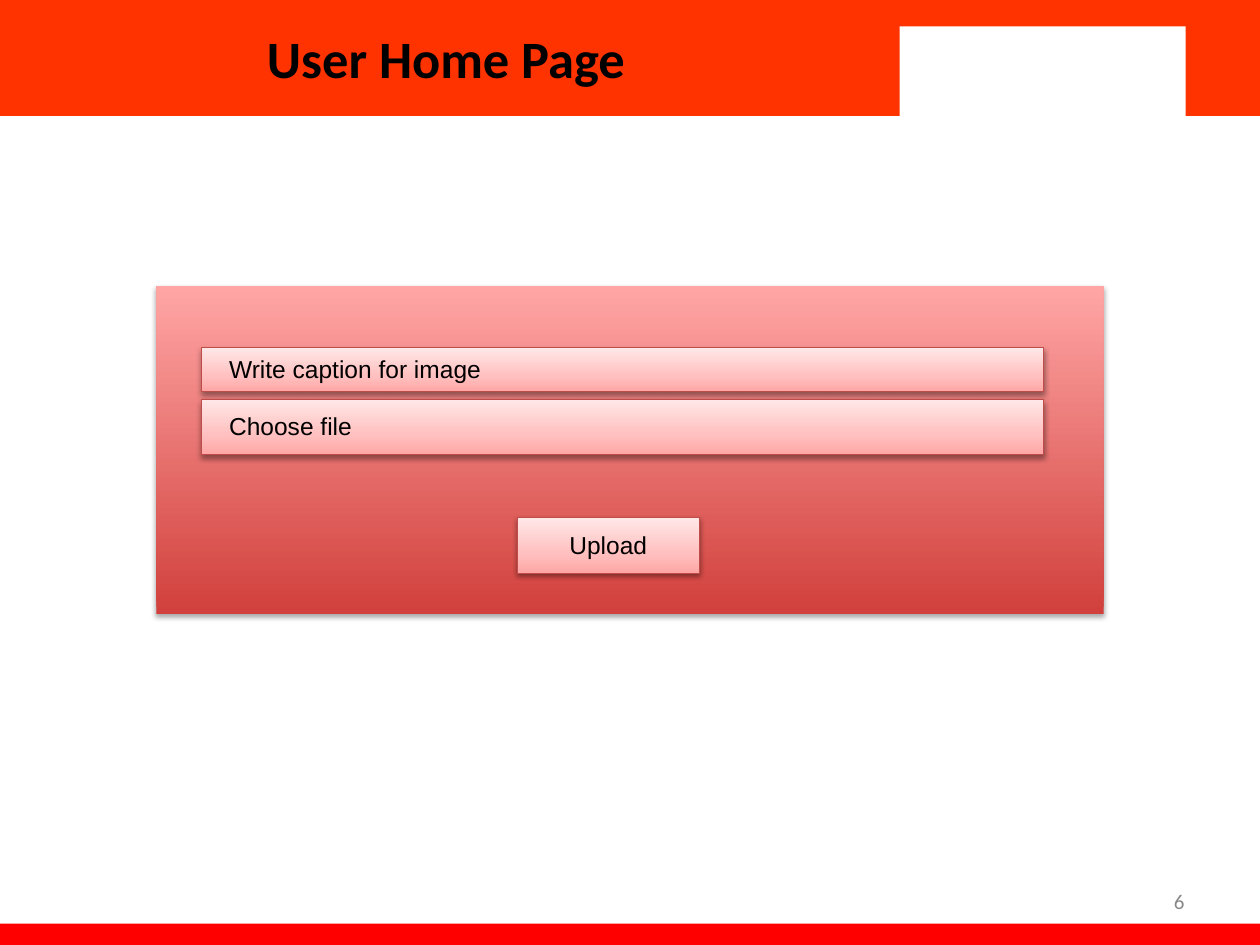
"""Build the User Home Page slide with its image upload form."""
import pptx
import pptx.dml.color
import pptx.enum.dml
import pptx.enum.shapes
import pptx.enum.text
import pptx.oxml
import pptx.oxml.ns
import pptx.util

Inches = pptx.util.Inches
Pt = pptx.util.Pt
RGBColor = pptx.dml.color.RGBColor
ALIGN = pptx.enum.text.PP_ALIGN
ANCHOR = pptx.enum.text.MSO_ANCHOR

ORANGE = RGBColor(0xFF, 0x33, 0x00)
RED = RGBColor(0xFF, 0x00, 0x00)
WHITE = RGBColor(0xFF, 0xFF, 0xFF)
BLACK = RGBColor(0x00, 0x00, 0x00)
GREY = RGBColor(0x89, 0x89, 0x89)
BORDER = RGBColor(0xBF, 0x4C, 0x48)
DEEP_RED = RGBColor(0xD1, 0x40, 0x3C)
PINK = RGBColor(0xFF, 0xA6, 0xA5)
LIGHT_PINK = RGBColor(0xFF, 0xC0, 0xBF)
PALE_PINK = RGBColor(0xFF, 0xE7, 0xE7)

TITLE = "User Home Page"
TITLE_AREA = (0, 0, 7.08, 0.92)
BARS = [
    ((0, 0, 10, 0.92), ORANGE),
    ((0, 7.33, 10, 0.17), RED),
    ((7.14, 0.21, 2.27, 0.75), WHITE),
]
PANEL = (1.24, 2.27, 7.52, 2.6)
PANEL_STOPS = [(0, DEEP_RED), (100, PINK)]
FIELDS = [(1.6, 2.76, 6.68, 0.35), (1.6, 3.17, 6.68, 0.44), (4.11, 4.11, 1.44, 0.44)]
FIELD_STOPS = [(0, PINK), (35, LIGHT_PINK), (100, PALE_PINK)]
LABELS = [
    ((1.72, 2.76, 2.27, 0.81), ["Write caption for image", "Choose file"]),
    ((4.42, 4.16, 0.82, 0.34), ["Upload"]),
]
LABEL_GAP = 16
PAGE_NUMBER = ((7.17, 6.95, 2.33, 0.4), ["6"])


def add_rectangle(page, area):
    kind = pptx.enum.shapes.MSO_SHAPE.RECTANGLE
    box = page.shapes.add_shape(kind, *map(Inches, area))
    box.shadow.inherit = False
    box.line.fill.background()
    return box


def add_bar(page, area, color):
    bar = add_rectangle(page, area)
    bar.fill.solid()
    bar.fill.fore_color.rgb = color


def add_raised_box(page, area, stops, shadow_alpha, shadow_distance, border=None):
    box = add_rectangle(page, area)
    if border is not None:
        box.line.color.rgb = border
        box.line.width = Pt(0.75)
    box.fill.gradient()
    box.fill.gradient_angle = 90
    namespace = pptx.oxml.ns.nsdecls("a")
    properties = box.element.spPr
    stop_list = properties.find(".//" + pptx.oxml.ns.qn("a:gsLst"))
    stop_list.clear()
    for position, color in stops:
        stop_list.append(pptx.oxml.parse_xml(
            f'<a:gs {namespace} pos="{position * 1000}"><a:srgbClr val="{color}"/></a:gs>'))
    effects = properties.find(pptx.oxml.ns.qn("a:effectLst"))
    effects.append(pptx.oxml.parse_xml(
        f'<a:outerShdw {namespace} blurRad="{Pt(3.1)}" dist="{Pt(shadow_distance)}" '
        f'dir="5400000" rotWithShape="0"><a:srgbClr val="000000">'
        f'<a:alpha val="{shadow_alpha * 1000}"/></a:srgbClr></a:outerShdw>'))


def format_text(box, font, size, color, align, bold=False):
    for para in box.text_frame.paragraphs:
        para.alignment = align
        for span in para.runs:
            span.font.name = font
            span.font.size = Pt(size)
            span.font.color.rgb = color
            span.font.bold = bold


def add_text(page, area, lines, wrap=False):
    box = page.shapes.add_textbox(*map(Inches, area))
    box.text_frame.text = "\n".join(lines)
    box.text_frame.word_wrap = wrap
    for para in box.text_frame.paragraphs[1:]:
        para.space_before = Pt(LABEL_GAP)
    return box


def add_title(page):
    title = page.shapes.title
    title.left, title.top, title.width, title.height = map(Inches, TITLE_AREA)
    title.text_frame.text = TITLE
    title.text_frame.vertical_anchor = ANCHOR.MIDDLE
    format_text(title, "Calibri", 30, BLACK, ALIGN.CENTER, bold=True)
    title.element.getparent().append(title.element)


def main():
    deck = pptx.Presentation()
    deck.slide_width, deck.slide_height = Inches(10), Inches(7.5)
    page = deck.slides.add_slide(deck.slide_layouts.get_by_name("Title Only"))
    for area, color in BARS:
        add_bar(page, area, color)
    add_title(page)
    number = add_text(page, *PAGE_NUMBER, wrap=True)
    number.text_frame.vertical_anchor = ANCHOR.MIDDLE
    format_text(number, "Calibri", 12, GREY, ALIGN.RIGHT)
    add_raised_box(page, PANEL, PANEL_STOPS, 35, 1.8)
    for area in FIELDS:
        add_raised_box(page, area, FIELD_STOPS, 38, 1.6, BORDER)
    for area, lines in LABELS:
        format_text(add_text(page, area, lines), "Arial", 14, BLACK, ALIGN.LEFT)
    deck.save("out.pptx")


if __name__ == "__main__":
    main()
